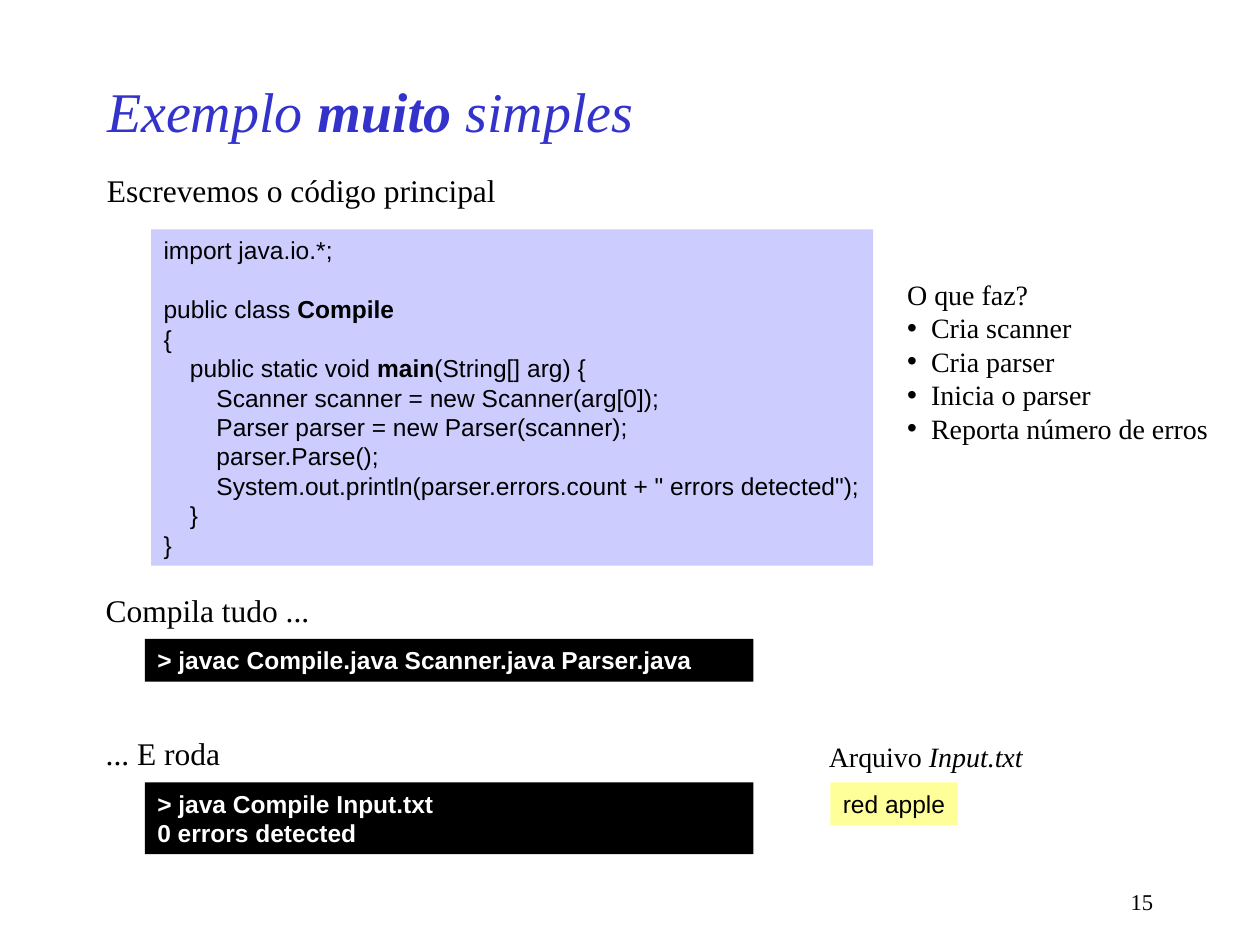
"""Build the slide showing a very simple compiler example in Java."""
from dataclasses import dataclass
from typing import Optional

from lxml.etree import SubElement
from pptx import Presentation
from pptx.dml.color import RGBColor
from pptx.enum.shapes import MSO_SHAPE
from pptx.enum.text import MSO_ANCHOR, MSO_AUTO_SIZE, PP_ALIGN
from pptx.oxml.ns import qn
from pptx.util import Pt

SERIF = "Times New Roman"
SANS = "Arial"
BLACK = "000000"
WHITE = "FFFFFF"
CODE_LINE = 16.8
CODE_TABS = (15.12, 30.24)
BULLET_INDENT = 13.68


@dataclass(frozen=True)
class Style:
    """Describe the lettering of a block of text."""
    size: float
    font: str = SERIF
    color: str = BLACK
    bold: bool = False
    italic: bool = False
    emphasis: str = "bold"
    align: PP_ALIGN = PP_ALIGN.LEFT


@dataclass(frozen=True)
class Block:
    """Describe a box of text, with emphasis between vertical bars."""
    left: float
    top: float
    width: float
    height: float
    lines: tuple[str, ...]
    style: Style
    fill: Optional[str] = None
    wrap: bool = False
    tabs: tuple[float, ...] = ()


HEADING = Style(18)
SIDE_TEXT = Style(16)
FILE_LABEL = Style(16, emphasis="italic")
CODE = Style(14, SANS)
CONSOLE = Style(14, SANS, WHITE, bold=True)
PAGE_NUMBER = Style(12.9, align=PP_ALIGN.RIGHT)
TITLE = Style(32, color="3333CC", italic=True)

CODE_LINES = (
    "import java.io.*;",
    "public class |Compile|",
    "{",
    "\tpublic static void |main|(String[] arg) {",
    "\t\tScanner scanner = new Scanner(arg[0]);",
    "\t\tParser parser = new Parser(scanner);",
    "\t\tparser.Parse();",
    '\t\tSystem.out.println(parser.errors.count + " errors detected");',
    "\t}",
    "}",
)
CODE_BLOCK = Block(86.4, 131.04, 412.56, 192.24, CODE_LINES, CODE, "CCCCFF", tabs=CODE_TABS)
BLOCKS = (
    Block(516.24, 504, 149.76, 23.76, ("15",), PAGE_NUMBER, wrap=True),
    Block(54, 94.32, 236.88, 28.8, ("Escrevemos o código principal",), HEADING),
    Block(53.28, 334.08, 131.04, 28.8, ("Compila tudo ...",), HEADING),
    Block(82.8, 365.04, 347.76, 24.48,
          ("> javac Compile.java Scanner.java Parser.java",), CONSOLE, BLACK, wrap=True),
    Block(53.28, 416.16, 79.92, 28.8, ("... E roda",), HEADING),
    Block(82.8, 447.12, 347.76, 41.04,
          ("> java Compile Input.txt", "0 errors detected"), CONSOLE, BLACK, wrap=True),
    Block(474.48, 447.12, 72.72, 24.48, ("red apple",), CODE, "FFFF99"),
    Block(466.56, 419.04, 125.28, 26.64, ("Arquivo |Input.txt|",), FILE_LABEL),
)
TITLE_BLOCK = Block(54, 36, 540, 54, ("Exemplo |muito| simples",), TITLE, wrap=True)
DUTIES = Block(511.2, 154.8, 186.48, 103.68,
               ("O que faz?", "Cria scanner", "Cria parser", "Inicia o parser",
                "Reporta número de erros"), SIDE_TEXT)


def rgb(color: str) -> RGBColor:
    """Turn a hex string into a colour."""
    return RGBColor.from_string(color)


def add_tabs(para, stops: tuple[float, ...]) -> None:
    """Give a paragraph left tab stops."""
    tab_list = SubElement(para._p.get_or_add_pPr(), qn("a:tabLst"))
    for stop in stops:
        SubElement(tab_list, qn("a:tab"), pos=str(Pt(stop)), algn="l")


def set_bullet(para, bulleted: bool) -> None:
    """Give a paragraph a hanging indent and switch its bullet on or off."""
    properties = para._p.get_or_add_pPr()
    properties.set("marL", str(Pt(BULLET_INDENT)))
    properties.set("indent", str(-Pt(BULLET_INDENT)))
    if bulleted:
        SubElement(properties, qn("a:buChar"), char="•")
    else:
        SubElement(properties, qn("a:buNone"))


def write_line(para, line: str, style: Style) -> None:
    """Write one line into a paragraph."""
    para.alignment = style.align
    para.space_before = Pt(0)
    para.font.size = Pt(style.size)
    para.font.name = style.font
    para.font.color.rgb = rgb(style.color)
    para.font.bold = style.bold
    para.font.italic = style.italic
    for index, text in enumerate(line.split("|")):
        if text:
            span = para.add_run()
            span.text = text
            if index % 2:
                setattr(span.font, style.emphasis, True)


def fill_box(box, block: Block, bulleted: bool = False) -> None:
    """Write all lines of a block into a box."""
    frame = box.text_frame
    frame.word_wrap = block.wrap
    for index, line in enumerate(block.lines):
        para = frame.add_paragraph() if index else frame.paragraphs[0]
        if bulleted:
            set_bullet(para, index > 0)
        if block.tabs:
            add_tabs(para, block.tabs)
        write_line(para, line, block.style)


def place(box, block: Block) -> None:
    """Move a placeholder to the position of a block."""
    box.left, box.top = Pt(block.left), Pt(block.top)
    box.width, box.height = Pt(block.width), Pt(block.height)


def add_block(page, block: Block):
    """Add a text box, or a rectangle if the block is filled."""
    frame = Pt(block.left), Pt(block.top), Pt(block.width), Pt(block.height)
    if block.fill:
        box = page.shapes.add_shape(MSO_SHAPE.RECTANGLE, *frame)
        box.shadow.inherit = False
        box.fill.solid()
        box.fill.fore_color.rgb = rgb(block.fill)
        box.line.fill.background()
    else:
        box = page.shapes.add_textbox(*frame)
    box.text_frame.vertical_anchor = MSO_ANCHOR.TOP
    box.text_frame.auto_size = MSO_AUTO_SIZE.SHAPE_TO_FIT_TEXT
    fill_box(box, block)
    return box


def main() -> None:
    """Build and save the deck."""
    deck = Presentation()
    deck.slide_width, deck.slide_height = Pt(720), Pt(540)
    page = deck.slides.add_slide(deck.slide_layouts[1])
    title, body = page.placeholders
    place(title, TITLE_BLOCK)
    title.text_frame.vertical_anchor = MSO_ANCHOR.MIDDLE
    fill_box(title, TITLE_BLOCK)
    place(body, DUTIES)
    body.text_frame.auto_size = MSO_AUTO_SIZE.SHAPE_TO_FIT_TEXT
    fill_box(body, DUTIES, bulleted=True)
    code_box = add_block(page, CODE_BLOCK)
    code_box.text_frame.paragraphs[1].space_before = Pt(CODE_LINE)
    for block in BLOCKS:
        add_block(page, block)
    deck.save("out.pptx")


if __name__ == "__main__":
    main()
